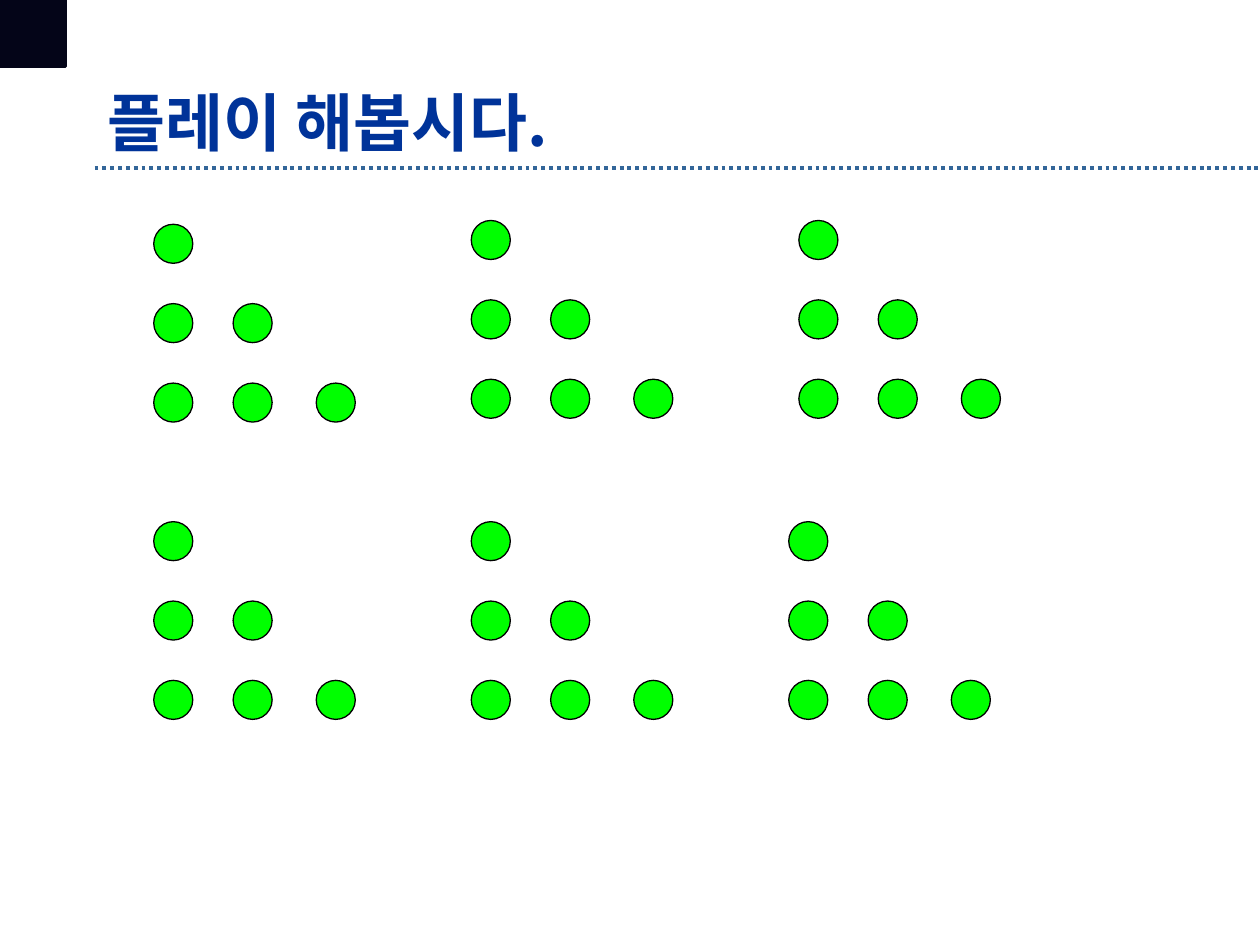
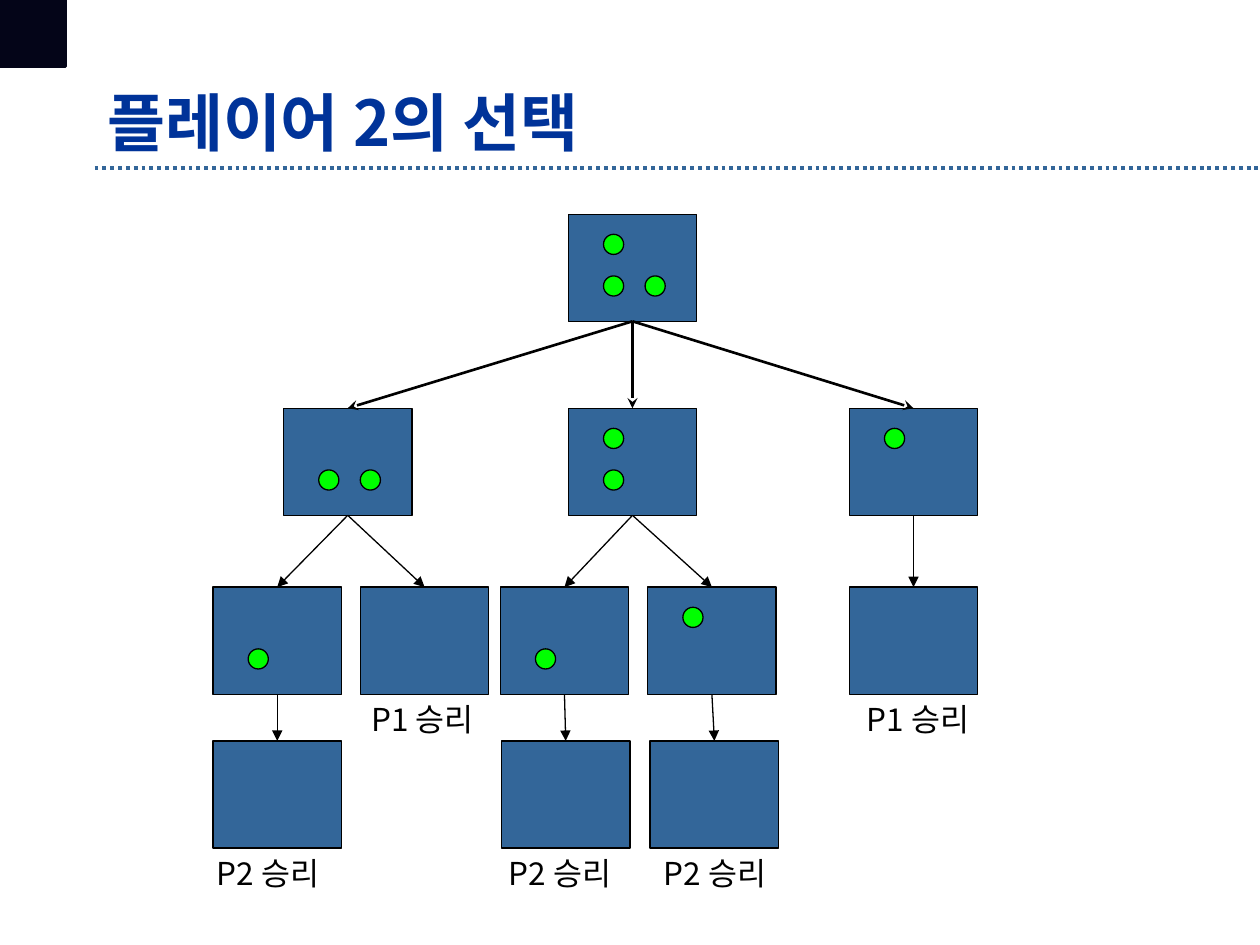
import pptx
import pptx.util
import pptx.dml.color
import pptx.enum.dml
import pptx.enum.shapes
import pptx.enum.text
import pptx.oxml
import pptx.oxml.ns
import lxml.etree

Inches = pptx.util.Inches
Pt = pptx.util.Pt
MSO_SHAPE = pptx.enum.shapes.MSO_SHAPE
qn = pptx.oxml.ns.qn

# Shared style
FONT = "Noto Sans CJK KR"
NAVY, BLUE, GREEN, BLACK, CORNER = "003399", "336699", "00FF00", "000000", "040518"

# Slide 1: stone pyramids (left, top)
PLAY_TITLE = "플레이 해봅시다."
PYRAMIDS = [(1.22, 1.78), (3.74, 1.75), (6.34, 1.75),
            (1.22, 4.14), (3.74, 4.14), (6.26, 4.14)]
STONE = 0.31
STONE_COLUMNS = [0, 0.63, 1.29]
STONE_ROW_STEP = 0.63

# Slide 2: game tree
TREE_TITLE = "플레이어 2의 선택"
BOX_W, BOX_H = 1.02, 0.85
LEVEL_TOPS = [1.7, 3.24, 4.66, 5.88]
DOT = 0.16
DOT_X, DOT_Y = [0.28, 0.61], [0.16, 0.49]
TOP, LOW_LEFT, LOW_RIGHT = (0, 0), (0, 1), (1, 1)
# name: (level, left, remaining stones, parent)
STATES = {
    "root": (0, 4.51, [TOP, LOW_LEFT, LOW_RIGHT], None),
    "row of two": (1, 2.25, [LOW_LEFT, LOW_RIGHT], "root"),
    "one each": (1, 4.51, [TOP, LOW_LEFT], "root"),
    "top only": (1, 6.74, [TOP], "root"),
    "two minus one": (2, 1.69, [LOW_LEFT], "row of two"),
    "two taken": (2, 2.86, [], "row of two"),
    "low left": (2, 3.97, [LOW_LEFT], "one each"),
    "top left": (2, 5.14, [TOP], "one each"),
    "top taken": (2, 6.74, [], "top only"),
    "end 1": (3, 1.69, [], "two minus one"),
    "end 2": (3, 3.98, [], "low left"),
    "end 3": (3, 5.16, [], "top left"),
}
# (text, left, level of the box above)
RESULTS = [("P2 승리", 1.62, 3), ("P2 승리", 3.94, 3), ("P2 승리", 5.17, 3),
           ("P1 승리", 2.85, 2), ("P1 승리", 6.78, 2)]


def rgb(color):
    return pptx.dml.color.RGBColor.from_string(color)


def add_box(shapes, kind, left, top, width, height, fill, line=BLACK, weight=0.75):
    sp = shapes.add_shape(kind, Inches(left), Inches(top), Inches(width), Inches(height))
    sp.shadow.inherit = False
    sp.fill.solid()
    sp.fill.fore_color.rgb = rgb(fill)
    sp.line.color.rgb = rgb(line)
    sp.line.width = Pt(weight)
    return sp


def add_stone(shapes, left, top, size):
    return add_box(shapes, MSO_SHAPE.OVAL, left, top, size, size, GREEN)


def add_line(shapes, x1, y1, x2, y2, color, weight, arrow=None):
    line = shapes.add_connector(pptx.enum.shapes.MSO_CONNECTOR.STRAIGHT, x1, y1, x2, y2)
    line.line.color.rgb = rgb(color)
    line.line.width = Pt(weight)
    if arrow:
        ln = line.element.spPr.find(qn("a:ln"))
        lxml.etree.SubElement(ln, qn("a:tailEnd"), type=arrow)
    lxml.etree.SubElement(line.element.spPr, qn("a:effectLst"))
    return line


def set_text(sp, text, size, color, bold=False):
    p = sp.text_frame.paragraphs[0]
    p.text = text
    p.alignment = pptx.enum.text.PP_ALIGN.LEFT
    p.font.size = Pt(size)
    p.font.bold = bold
    p.font.color.rgb = rgb(color)
    p.font.name = FONT
    # Korean glyphs take the East Asian typeface
    for props in sp.element.iter(qn("a:defRPr")):
        lxml.etree.SubElement(props, qn("a:ea"), typeface=FONT)


def add_slide(prs, title):
    s = prs.slides.add_slide(prs.slide_layouts[5])
    # Dotted rule and corner square
    rule = add_line(s.shapes, Inches(0.75), Inches(1.33), Inches(10), Inches(1.33), BLUE, 2.25)
    rule.line.dash_style = pptx.enum.dml.MSO_LINE.ROUND_DOT
    add_box(s.shapes, MSO_SHAPE.RECTANGLE, 0.01, 0.01, 0.51, 0.52, CORNER, CORNER, 2)
    # Title
    sp = s.shapes.title
    sp.left, sp.top, sp.width, sp.height = map(Inches, (0.75, 0.67, 8.58, 0.58))
    sp.text_frame.auto_size = pptx.enum.text.MSO_AUTO_SIZE.NONE
    sp.text_frame.vertical_anchor = pptx.enum.text.MSO_ANCHOR.MIDDLE
    set_text(sp, title, 36, NAVY, True)
    return s


def build_play(prs):
    s = add_slide(prs, PLAY_TITLE)
    for left, top in PYRAMIDS:
        pyramid = s.shapes.add_group_shape()
        for row in range(3):
            for x in STONE_COLUMNS[:row + 1]:
                add_stone(pyramid.shapes, left + x, top + row * STONE_ROW_STEP, STONE)


def build_tree(prs):
    s = add_slide(prs, TREE_TITLE)
    tree = s.shapes.add_group_shape().shapes
    boxes = {}
    # Game states and the arrows from their parents
    for name, (level, left, stones, parent) in STATES.items():
        top = LEVEL_TOPS[level]
        box = add_box(tree, MSO_SHAPE.RECTANGLE, left, top, BOX_W, BOX_H, BLUE)
        boxes[name] = box
        for col, row in stones:
            add_stone(tree, left + DOT_X[col], top + DOT_Y[row], DOT)
        if parent:
            start = boxes[parent]
            weight, arrow = (1.5, "stealth") if level == 1 else (0.75, "triangle")
            line = add_line(tree, start.left, start.top, box.left, box.top,
                            BLACK, weight, arrow)
            line.begin_connect(start, 2)
            line.end_connect(box, 0)
    # Winners
    for text, left, level in RESULTS:
        top = LEVEL_TOPS[level] + BOX_H
        sp = s.shapes.add_textbox(Inches(left), Inches(top), Inches(1.08), Inches(0.4))
        sp.text_frame.word_wrap = False
        sp.text_frame.auto_size = pptx.enum.text.MSO_AUTO_SIZE.SHAPE_TO_FIT_TEXT
        set_text(sp, text, 18, BLACK)


def main():
    prs = pptx.Presentation()
    prs.slide_width, prs.slide_height = Inches(10), Inches(7.5)
    build_play(prs)
    build_tree(prs)
    prs.save("out.pptx")


if __name__ == "__main__":
    main()
